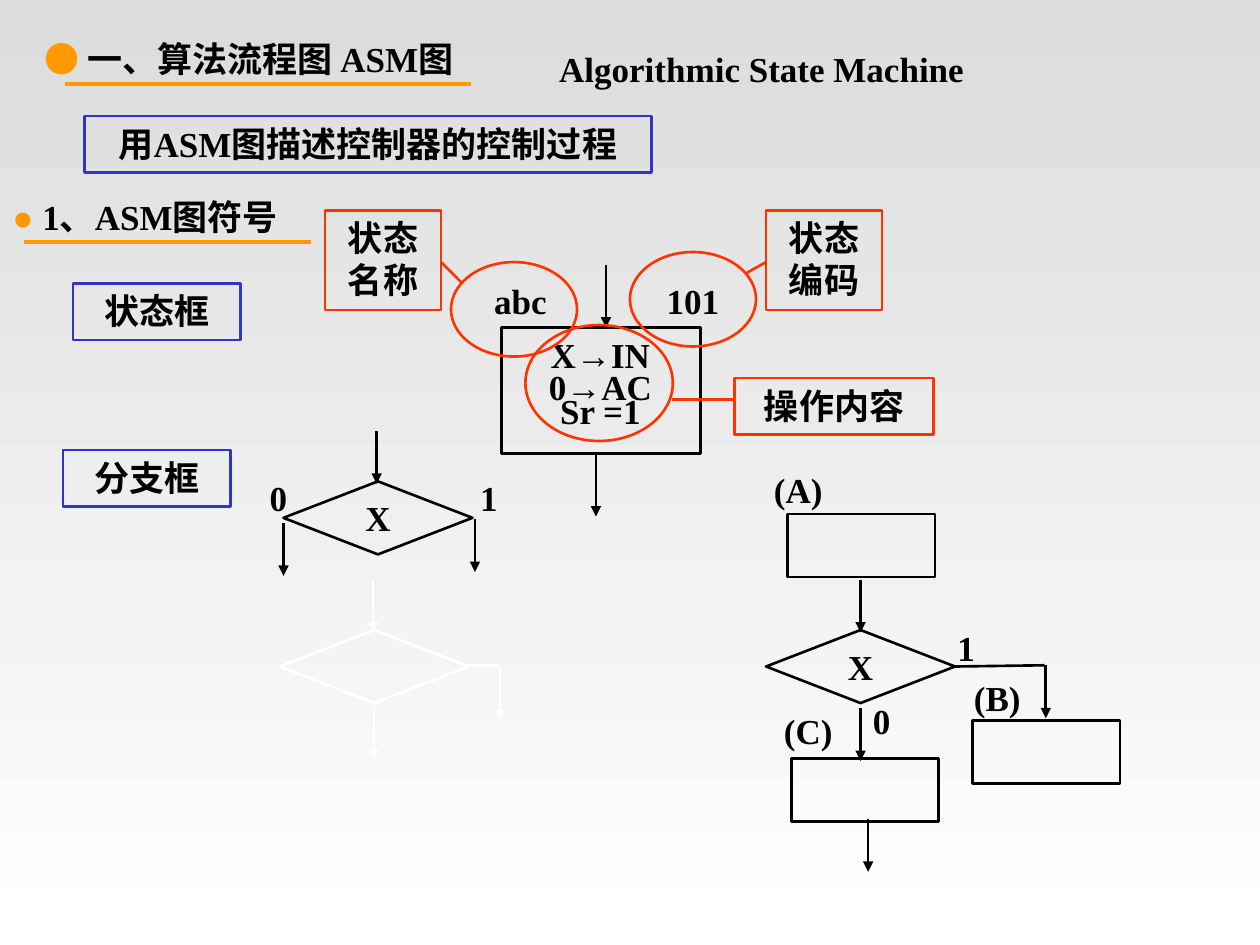
from dataclasses import dataclass

from lxml.etree import SubElement
from pptx import Presentation
from pptx.dml.color import RGBColor
from pptx.enum.shapes import MSO_CONNECTOR, MSO_SHAPE
from pptx.enum.text import MSO_ANCHOR, MSO_AUTO_SIZE, PP_ALIGN
from pptx.oxml.ns import qn
from pptx.util import Inches, Pt


@dataclass(frozen=True)
class Theme:
    font: str = "Times New Roman"
    text_size: float = 20
    outline: float = 1.5
    rule: float = 2.25
    black: str = "000000"
    white: str = "FFFFFF"
    blue: str = "3333CC"
    red: str = "FF3300"
    orange: str = "FF9900"
    background_top: str = "DCDCDC"
    background_bottom: str = "FFFFFF"


THEME = Theme()


def add_run(paragraph, text, color, bold):
    run = paragraph.add_run()
    run.text = text
    run.font.name = THEME.font
    run.font.size = Pt(THEME.text_size)
    run.font.bold = bold
    run.font.color.rgb = RGBColor.from_string(color)


def write_text(shape, text, *, bullet="", align=PP_ALIGN.CENTER, anchor=MSO_ANCHOR.TOP, wrap=True):
    frame = shape.text_frame
    frame.auto_size = MSO_AUTO_SIZE.NONE
    frame.word_wrap = wrap
    frame.vertical_anchor = anchor
    frame.margin_left = frame.margin_right = Inches(0.1)
    frame.margin_top = frame.margin_bottom = Inches(0.05)
    paragraph = frame.paragraphs[0]
    paragraph.alignment = align
    if bullet:
        add_run(paragraph, bullet, THEME.orange, False)
    add_run(paragraph, text, THEME.black, True)


class ChartSlide:
    def __init__(self, presentation, theme):
        self.theme = theme
        self.slide = presentation.slides.add_slide(presentation.slide_layouts[5])
        fill = self.slide.background.fill
        fill.gradient()
        fill.gradient_angle = 270
        colors = (theme.background_top, theme.background_bottom)
        for stop, color in zip(fill.gradient_stops, colors):
            stop.color.rgb = RGBColor.from_string(color)

    def title(self, text, left, top, width):
        shape = self.slide.shapes.title
        shape.left, shape.top = Inches(left), Inches(top)
        shape.width, shape.height = Inches(width), Inches(0.43)
        write_text(shape, text, bullet="● ", align=PP_ALIGN.LEFT)

    def label(self, text, left, top, width, **text_format):
        box = self.slide.shapes.add_textbox(
            Inches(left), Inches(top), Inches(width), Inches(0.43))
        write_text(box, text, **text_format)

    def outline(self, kind, left, top, width, height, color, text="", **text_format):
        shape = self.slide.shapes.add_shape(
            kind, Inches(left), Inches(top), Inches(width), Inches(height))
        shape.shadow.inherit = False
        shape.fill.background()
        shape.line.color.rgb = RGBColor.from_string(color)
        shape.line.width = Pt(self.theme.outline)
        if text:
            write_text(shape, text, **text_format)

    def box(self, left, top, width, height, color, text=""):
        self.outline(MSO_SHAPE.RECTANGLE, left, top, width, height, color, text)

    def state(self, left, top):
        self.box(left, top, 1.17, 0.5, self.theme.black)

    def oval(self, left, top, width, height):
        self.outline(MSO_SHAPE.OVAL, left, top, width, height, self.theme.red)

    def decision(self, left, top, color, text=""):
        self.outline(MSO_SHAPE.FLOWCHART_DECISION, left, top, 1.5, 0.58, color, text,
                     anchor=MSO_ANCHOR.MIDDLE, wrap=False)

    def line(self, start, end, color, width=None, arrow=False):
        connector = self.slide.shapes.add_connector(
            MSO_CONNECTOR.STRAIGHT, *(Inches(value) for value in (*start, *end)))
        connector.line.color.rgb = RGBColor.from_string(color)
        connector.line.width = Pt(width or self.theme.outline)
        properties = connector.element.spPr
        if arrow:
            SubElement(properties.find(qn("a:ln")), qn("a:tailEnd"), type="triangle")
        SubElement(properties, qn("a:effectLst"))

    def arrow_down(self, x, top, color, length=0.42):
        self.line((x, top), (x, top + length), color, arrow=True)


def add_headings(chart):
    theme = chart.theme
    chart.title("一、算法流程图 ASM图", 0.25, 0.25, 4.83)
    chart.line((0.52, 0.67), (3.74, 0.67), theme.orange, theme.rule)
    chart.label("Algorithmic State Machine", 3.92, 0.33, 4.25)
    chart.box(0.67, 0.92, 4.5, 0.45, theme.blue, "用ASM图描述控制器的控制过程")
    chart.label("1、ASM图符号", 0, 1.5, 3.42, bullet="● ", align=PP_ALIGN.LEFT)
    chart.line((0.19, 1.92), (2.47, 1.92), theme.orange, theme.rule)
    chart.box(0.58, 2.25, 1.33, 0.45, theme.blue, "状态框")
    chart.box(0.5, 3.57, 1.33, 0.45, theme.blue, "分支框")


def add_state_symbol(chart):
    theme = chart.theme
    chart.box(3.98, 2.6, 1.58, 1, theme.black)
    for x, top in ((4.73, 3.6), (4.81, 2.1)):
        chart.arrow_down(x, top, theme.black, 0.5)
    for text, top in (("X→IN", 2.6), ("0→AC", 2.85), ("Sr =1", 3.04)):
        chart.label(text, 4.14, top, 1.25)
    chart.label("abc", 3.67, 2.17, 0.92)
    chart.label("101", 5, 2.17, 1)

    callouts = (
        ("状态名称", (2.58, 1.67, 0.92, 0.79), (3.58, 2.08, 1, 0.75), (3.5, 2.08), (3.67, 2.25)),
        ("状态编码", (6.08, 1.67, 0.92, 0.79), (5, 2, 1, 0.75), (6.08, 2.08), (5.92, 2.17)),
        ("操作内容", (5.83, 3, 1.58, 0.45), (4.17, 2.58, 1.17, 0.92), (5.33, 3.17), (5.83, 3.17)),
    )
    for text, box, oval, start, end in callouts:
        chart.box(*box, theme.red, text)
        chart.oval(*oval)
        chart.line(start, end, theme.red)


def add_branch_symbols(chart):
    theme = chart.theme
    chart.decision(2.22, 5, theme.white)
    for x, top in ((2.96, 4.6), (2.97, 5.61), (3.97, 5.3)):
        chart.arrow_down(x, top, theme.white)
    chart.line((3.72, 5.28), (3.97, 5.28), theme.white)

    chart.decision(2.25, 3.82, theme.black, "X")
    for x, top in ((2.99, 3.42), (2.25, 4.15), (3.77, 4.12)):
        chart.arrow_down(x, top, theme.black)
    for text, left in (("1", 3.67), ("0", 2)):
        chart.label(text, left, 3.73, 0.42)


def add_branch_example(chart):
    theme = chart.theme
    chart.decision(6.08, 5, theme.black, "X")
    for left, top in ((6.25, 4.08), (6.28, 6.02), (7.72, 5.72)):
        chart.state(left, top)
    for x, top in ((6.83, 4.6), (6.83, 5.62), (8.3, 5.28), (6.89, 6.5)):
        chart.arrow_down(x, top, theme.black)
    chart.line((7.58, 5.29), (8.29, 5.28), theme.black)
    for text, left, top in (("1", 7.5, 4.92), ("0", 6.83, 5.5)):
        chart.label(text, left, top, 0.33)
    for text, left, top in (("(C)", 6, 5.58), ("(A)", 5.92, 3.67), ("(B)", 7.5, 5.32)):
        chart.label(text, left, top, 0.83)


def main():
    presentation = Presentation()
    presentation.slide_width = Inches(10)
    presentation.slide_height = Inches(7.5)
    chart = ChartSlide(presentation, THEME)
    add_headings(chart)
    add_state_symbol(chart)
    add_branch_symbols(chart)
    add_branch_example(chart)
    presentation.save("out.pptx")


if __name__ == "__main__":
    main()
